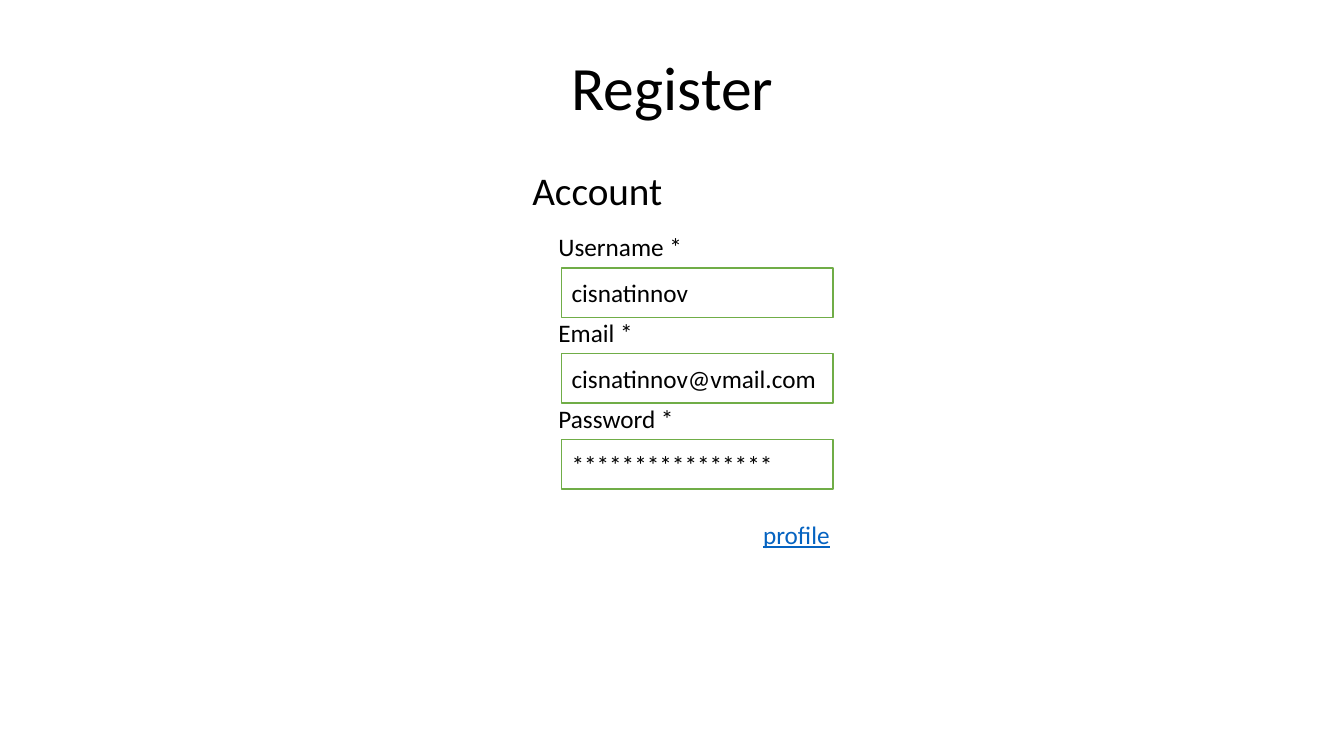
import pptx
import pptx.dml.color
import pptx.enum.shapes
import pptx.enum.text
import pptx.oxml
import pptx.oxml.ns
import pptx.util

PX = 9144
COLOURS = {"ink": "000000", "paper": "FFFFFF", "field": "70AD47", "link": "0563C1"}
ALIGN = pptx.enum.text.PP_ALIGN
ANCHOR = pptx.enum.text.MSO_ANCHOR


class FormSlide:
    font = "Calibri"

    def __init__(self, deck):
        self.slide = deck.slides.add_slide(deck.slide_layouts[1])

    def colour(self, key):
        return pptx.dml.color.RGBColor.from_string(COLOURS[key])

    def box(self, *lengths):
        return [pptx.util.Emu(length * PX) for length in lengths]

    def add_wording(self, frame, wording, size=18, colour="ink", align=ALIGN.LEFT, underline=None):
        paragraph = frame.paragraphs[0]
        paragraph.alignment = align
        run = paragraph.add_run()
        run.text = wording
        run.font.name = self.font
        run.font.size = pptx.util.Pt(size)
        run.font.color.rgb = self.colour(colour)
        run.font.underline = underline
        return paragraph

    def place(self, holder, *lengths):
        holder.left, holder.top, holder.width, holder.height = self.box(*lengths)

    def title(self, wording, *lengths):
        heading = self.slide.shapes.title
        self.place(heading, *lengths)
        heading.text_frame.vertical_anchor = ANCHOR.MIDDLE
        paragraph = self.add_wording(heading.text_frame, wording, 44, align=ALIGN.CENTER)
        paragraph.line_spacing = 0.9

    def body(self, wording, *lengths):
        section = self.slide.placeholders[1]
        self.place(section, *lengths)
        section.text_frame.vertical_anchor = ANCHOR.TOP
        paragraph = self.add_wording(section.text_frame, wording, 28)
        paragraph.line_spacing = 0.9
        paragraph.space_before = pptx.util.Pt(10)
        properties = paragraph._p.get_or_add_pPr()
        properties.set("marL", "0")
        properties.set("indent", "0")
        properties.append(pptx.oxml.parse_xml(f"<a:buNone {pptx.oxml.ns.nsdecls('a')}/>"))

    def label(self, wording, *lengths, colour="ink", underline=None):
        caption = self.slide.shapes.add_textbox(*self.box(*lengths))
        caption.text_frame.word_wrap = False
        caption.text_frame.auto_size = pptx.enum.text.MSO_AUTO_SIZE.SHAPE_TO_FIT_TEXT
        self.add_wording(caption.text_frame, wording, colour=colour, underline=underline)

    def field(self, wording, *lengths):
        entry = self.slide.shapes.add_shape(
            pptx.enum.shapes.MSO_SHAPE.RECTANGLE, *self.box(*lengths))
        entry.shadow.inherit = False
        entry.fill.solid()
        entry.fill.fore_color.rgb = self.colour("paper")
        entry.line.color.rgb = self.colour("field")
        entry.line.width = pptx.util.Pt(1)
        entry.text_frame.vertical_anchor = ANCHOR.MIDDLE
        self.add_wording(entry.text_frame, wording)


def main():
    deck = pptx.Presentation()
    deck.slide_width = pptx.util.Emu(1333 * PX)
    deck.slide_height = pptx.util.Emu(750 * PX)
    form = FormSlide(deck)
    form.title("Register", 92, 40, 1150, 99)
    form.body("Account", 518, 165, 297, 421)
    entries = [
        ("Username *", 144, "cisnatinnov"),
        ("Email *", 95, "cisnatinnov@vmail.com"),
        ("Password *", 136, "*" * 16),
    ]
    for row, (caption, width, value) in enumerate(entries):
        top = 225 + 85 * row
        form.field(value, 557, top + 41, 269, 49)
        form.label(caption, 544, top, width, 40)
    form.label("profile", 747, 510, 87, 40, colour="link", underline=True)
    deck.save("out.pptx")


if __name__ == "__main__":
    main()
